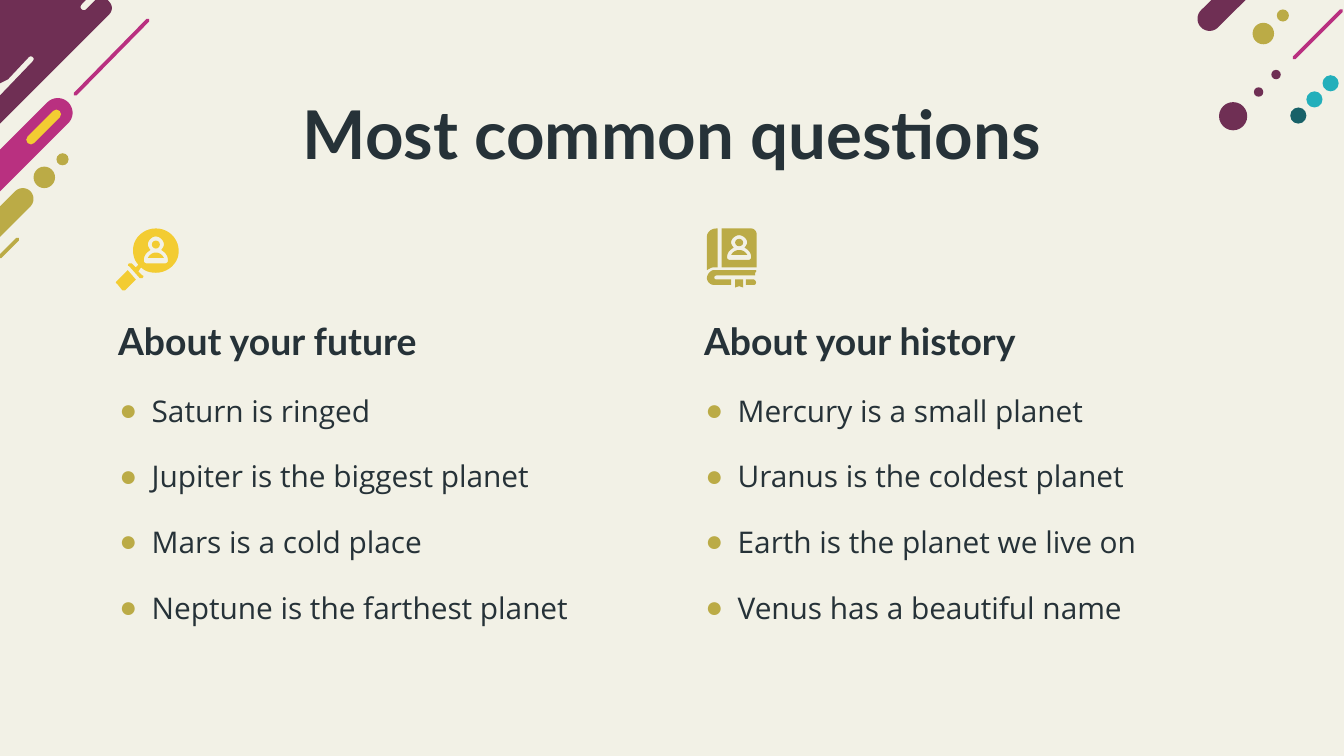
from math import cos, radians, sin

from lxml.etree import SubElement
from pptx import Presentation
from pptx.dml.color import RGBColor
from pptx.enum.shapes import MSO_CONNECTOR, MSO_SHAPE
from pptx.enum.text import MSO_ANCHOR, PP_ALIGN
from pptx.oxml.ns import qn
from pptx.util import Inches, Pt

COLORS = {
    "bg": "F2F1E6", "ink": "263238", "olive": "BBAB46", "pink": "B93080",
    "plum": "6F2F54", "yellow": "F3CC32", "teal": "186168", "cyan": "23AFBB",
}

PLUM_CORNER = [
    (0, 0), (0, 0.62), (0.02, 0.61, 0.04, 0.6, 0.06, 0.59), (0.21, 0.43),
    (0.22, 0.42, 0.22, 0.42, 0.23, 0.42), (0.25, 0.42, 0.26, 0.44, 0.24, 0.46),
    (0, 0.71), (0, 0.92), (0.81, 0.11), (0.84, 0.08, 0.84, 0.04, 0.81, 0.01),
    (0.8, 0), (0.71, 0), (0.64, 0.07), (0.62, 0.09, 0.58, 0.06, 0.61, 0.03), (0.64, 0),
]
LENS = [
    (1.16, 1.7), (1.07, 1.7, 0.99, 1.77, 0.99, 1.86), (0.99, 1.9, 1, 1.94, 1.03, 1.97),
    (1.01, 1.99), (0.98, 1.96), (0.97, 1.96, 0.96, 1.96, 0.96, 1.96),
    (0.95, 1.97, 0.95, 1.98, 0.96, 1.98), (1.04, 2.07),
    (1.05, 2.07, 1.06, 2.07, 1.06, 2.07), (1.07, 2.06, 1.07, 2.05, 1.06, 2.05),
    (1.03, 2.02), (1.05, 1.99), (1.08, 2.02, 1.12, 2.03, 1.16, 2.03),
    (1.25, 2.03, 1.33, 1.96, 1.33, 1.87), (1.33, 1.77, 1.25, 1.7, 1.16, 1.7),
]
HANDLE = [
    (0.95, 2.01), (0.87, 2.09), (0.86, 2.1, 0.86, 2.11, 0.87, 2.11), (0.91, 2.16),
    (0.91, 2.16, 0.92, 2.16, 0.93, 2.16), (1.01, 2.08),
]
COVER = [
    (5.37, 1.7), (5.37, 1.99), (5.63, 1.99), (5.63, 1.74), (5.63, 1.72, 5.61, 1.7, 5.59, 1.7),
]
BOOK_PARTS = [
    [(5.33, 1.7), (5.29, 1.7, 5.26, 1.73, 5.26, 1.76), (5.26, 2.01),
     (5.28, 2, 5.29, 1.99, 5.31, 1.99), (5.34, 1.99), (5.34, 1.7)],
    [(5.31, 2.01), (5.29, 2.01, 5.26, 2.04, 5.26, 2.07), (5.26, 2.09, 5.28, 2.12, 5.31, 2.12),
     (5.44, 2.12), (5.44, 2.08), (5.33, 2.08), (5.31, 2.08, 5.31, 2.05, 5.33, 2.05),
     (5.62, 2.05), (5.62, 2.05, 5.62, 2.04, 5.62, 2.03), (5.63, 2.02, 5.63, 2.01, 5.62, 2.01)],
    [(5.55, 2.08), (5.55, 2.12), (5.61, 2.12), (5.63, 2.12, 5.63, 2.09, 5.61, 2.08)],
    [(5.47, 2.08), (5.47, 2.14), (5.5, 2.13), (5.53, 2.14), (5.53, 2.08)],
]
PERSON_SIDE = [
    (0, 0), (0.03, 0, 0.06, 0.03, 0.06, 0.06), (0.06, 0.07, 0.05, 0.09, 0.04, 0.1),
    (0.07, 0.12, 0.09, 0.14, 0.09, 0.18), (0.09, 0.19, 0.08, 0.2, 0.07, 0.2),
]
DOME_SIDE = [(0, 0.12), (0.03, 0.12, 0.05, 0.14, 0.06, 0.16)]


def flatten(nodes, steps=10):
    points = [nodes[0]]
    for node in nodes[1:]:
        if len(node) == 2:
            points.append(node)
            continue
        curve = [points[-1], node[:2], node[2:4], node[4:]]
        for i in range(1, steps + 1):
            t = i / steps
            weights = ((1 - t) ** 3, 3 * t * (1 - t) ** 2, 3 * t * t * (1 - t), t ** 3)
            points.append(tuple(sum(w * c[axis] for w, c in zip(weights, curve)) for axis in (0, 1)))
    return points


def mirrored(side, cx, top, squash):
    half = flatten(side)
    both = half + [(-x, y) for x, y in reversed(half)]
    return [(cx + x, top + y * squash) for x, y in both]


class SlideBuilder:
    heading_font = "Lato"
    body_font = "Open Sans"
    bullet_font = "Arial"

    def __init__(self, slide):
        self.s = slide
        fill = slide.background.fill
        fill.solid()
        fill.fore_color.rgb = self.rgb("bg")

    def rgb(self, name):
        return RGBColor.from_string(COLORS[name])

    def paint(self, sp, color):
        sp.shadow.inherit = False
        sp.fill.solid()
        sp.fill.fore_color.rgb = self.rgb(color)
        sp.line.fill.background()

    def outline(self, contours, color, parent=None):
        builder = None
        for nodes in contours:
            points = [(Inches(x), Inches(y)) for x, y in flatten(nodes)]
            if builder is None:
                builder = (parent or self.s).shapes.build_freeform(*points[0])
            else:
                builder.move_to(*points[0])
            builder.add_line_segments(points[1:], close=True)
        self.paint(builder.convert_to_shape(), color)

    def bar(self, cx, cy, radius, color, from_top=False):
        start = 45 if from_top else -135
        angles = [radians(start + step) for step in range(0, 181, 10)]
        cap = [(cx + radius * cos(a), cy + radius * sin(a)) for a in angles]
        ends = [(x + y, 0) if from_top else (0, x + y) for x, y in (cap[-1], cap[0])]
        self.outline([cap + ends], color)

    def dot(self, x, y, width, height, color, parent=None):
        box = [Inches(v) for v in (x, y, width, height)]
        self.paint((parent or self.s).shapes.add_shape(MSO_SHAPE.OVAL, *box), color)

    def streak(self, x1, y1, x2, y2, width, color):
        ends = [Inches(v) for v in (x1, y1, x2, y2)]
        line = self.s.shapes.add_connector(MSO_CONNECTOR.STRAIGHT, *ends)
        line.line.color.rgb = self.rgb(color)
        line.line.width = Pt(width)
        line.line._get_or_add_ln().set("cap", "rnd")
        SubElement(line._element.spPr, qn("a:effectLst"))

    def person_icon(self, frame, parts, cx, top, squash, color):
        group = self.s.shapes.add_group_shape()
        self.outline([frame, mirrored(PERSON_SIDE, cx, top, squash)], color, group)
        self.dot(cx - 0.03, top + 0.03 * squash, 0.06, 0.06 * squash, color, group)
        for part in [mirrored(DOME_SIDE, cx, top, squash)] + parts:
            self.outline([part], color, group)

    def style(self, p, font, size, bold=False):
        for r in p.runs:
            r.font.name = font
            r.font.size = Pt(size)
            r.font.bold = bold
            r.font.color.rgb = self.rgb("ink")

    def frame(self, sp):
        tf = sp.text_frame
        tf.word_wrap = True
        tf.vertical_anchor = MSO_ANCHOR.TOP
        tf.margin_left = tf.margin_right = tf.margin_top = tf.margin_bottom = Inches(0.1)
        return tf

    def text_box(self, x, y, width, height):
        return self.frame(self.s.shapes.add_textbox(*[Inches(v) for v in (x, y, width, height)]))

    def title(self, text):
        sp = self.s.shapes.title
        sp.left, sp.top, sp.width, sp.height = [Inches(v) for v in (0.78, 0.59, 8.44, 0.67)]
        tf = self.frame(sp)
        tf.text = text
        tf.paragraphs[0].alignment = PP_ALIGN.CENTER
        self.style(tf.paragraphs[0], self.heading_font, 36, True)

    def heading(self, x, text):
        tf = self.text_box(x, 2.27, 4.08, 0.44)
        tf.text = text
        self.style(tf.paragraphs[0], self.heading_font, 20, True)

    def bullets(self, x, items):
        tf = self.text_box(x, 2.82, 4.08, 2.22)
        for i, item in enumerate(items):
            p = tf.add_paragraph() if i else tf.paragraphs[0]
            p.text = item
            p.space_before = Pt(16 if i else 0)
            pPr = p._p.get_or_add_pPr()
            pPr.set("marL", str(Inches(0.25)))
            pPr.set("indent", str(Inches(-0.24)))
            SubElement(SubElement(pPr, qn("a:buClr")), qn("a:srgbClr")).set("val", COLORS["olive"])
            SubElement(pPr, qn("a:buFont")).set("typeface", self.bullet_font)
            SubElement(pPr, qn("a:buChar")).set("char", "●")
            self.style(p, self.body_font, 16)


def main():
    prs = Presentation()
    prs.slide_width = Inches(10)
    prs.slide_height = prs.slide_width * 9 // 16
    b = SlideBuilder(prs.slides.add_slide(prs.slide_layouts[5]))

    b.outline([PLUM_CORNER], "plum")
    b.bar(0.17, 1.48, 0.08, "olive")
    b.bar(0.43, 0.84, 0.11, "pink")
    b.bar(9, 0.14, 0.09, "plum", from_top=True)
    for streak in [
        (1.1, 0.15, 0.56, 0.7, 2, "pink"), (0.13, 1.78, 0, 1.91, 2, "olive"),
        (0.42, 0.85, 0.23, 1.04, 5, "yellow"), (9.98, 0.08, 9.63, 0.43, 2, "pink"),
    ]:
        b.streak(*streak)
    for x, y, size, color in [
        (0.25, 1.24, 0.16, "olive"), (0.42, 1.14, 0.09, "olive"),
        (9.33, 0.65, 0.07, "plum"), (9.46, 0.52, 0.07, "plum"), (9.07, 0.76, 0.21, "plum"),
        (9.32, 0.17, 0.16, "olive"), (9.5, 0.07, 0.09, "olive"),
        (9.6, 0.8, 0.12, "teal"), (9.72, 0.68, 0.12, "cyan"), (9.84, 0.56, 0.12, "cyan"),
    ]:
        b.dot(x, y, size, size, color)

    b.title("Most common questions")
    b.person_icon(LENS, [HANDLE], 1.16, 1.76, 1, "yellow")
    b.person_icon(COVER, BOOK_PARTS, 5.5, 1.75, 0.92, "olive")
    for x, heading, items in [
        (0.78, "About your future", ["Saturn is ringed", "Jupiter is the biggest planet",
                                     "Mars is a cold place", "Neptune is the farthest planet"]),
        (5.14, "About your history", ["Mercury is a small planet", "Uranus is the coldest planet",
                                      "Earth is the planet we live on", "Venus has a beautiful name"]),
    ]:
        b.heading(x, heading)
        b.bullets(x, items)
    prs.save("out.pptx")


if __name__ == "__main__":
    main()
